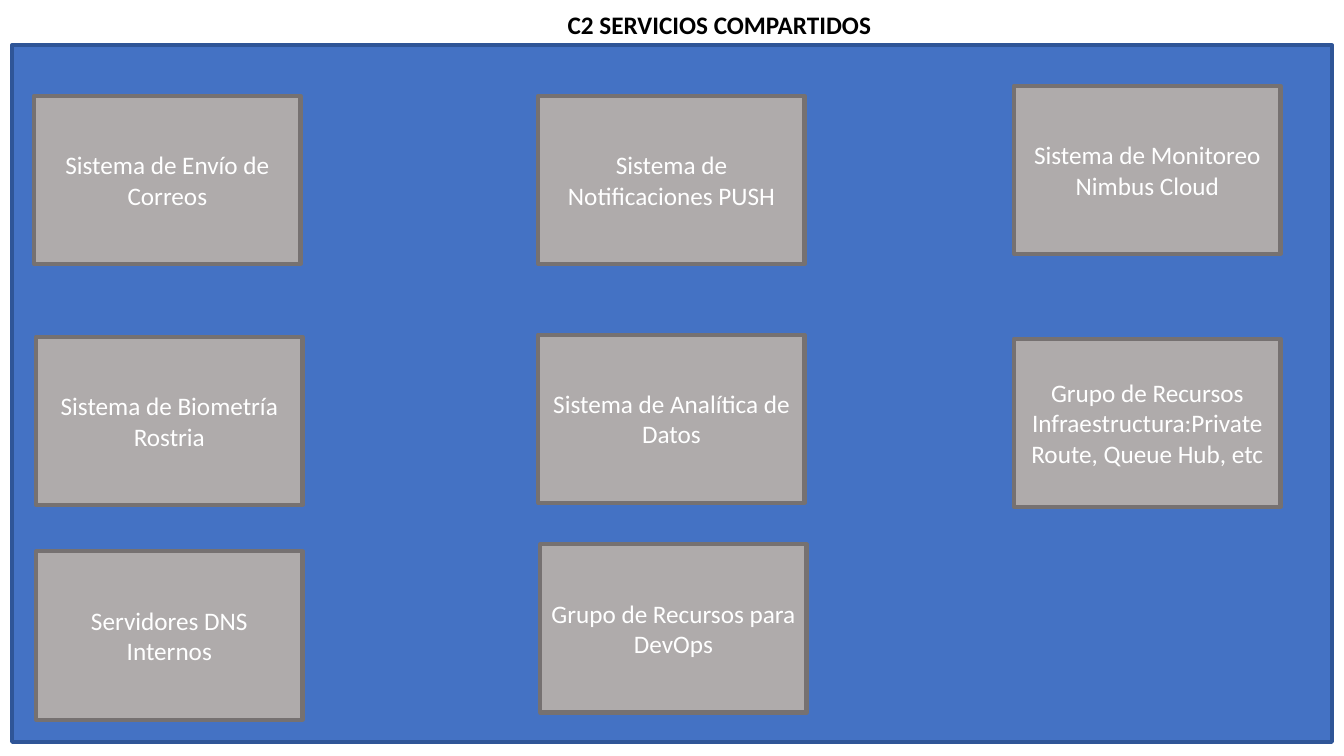
from pptx import Presentation
from pptx.dml.color import RGBColor
from pptx.enum import shapes, text
from pptx.util import Inches, Pt

COLORS = {
    "panel": "4472C4", "panel_edge": "2F5597",
    "card": "AFABAB", "card_edge": "767171",
    "title": "000000", "label": "FFFFFF",
}
CARD_WIDTH, CARD_HEIGHT = 2.64, 1.67

deck = Presentation()
deck.slide_width, deck.slide_height = Inches(13.33), Inches(7.5)
page = deck.slides.add_slide(deck.slide_layouts[5])


def add_box(left, top, width, height, kind):
    box = page.shapes.add_shape(shapes.MSO_SHAPE.RECTANGLE, Inches(left),
                                Inches(top), Inches(width), Inches(height))
    box.shadow.inherit = False
    box.fill.solid()
    box.fill.fore_color.rgb = RGBColor.from_string(COLORS[kind])
    box.line.color.rgb = RGBColor.from_string(COLORS[kind + "_edge"])
    box.line.width = Pt(3)
    return box


def write(box, words, color, align, anchor, bold=False):
    box.text_frame.vertical_anchor = anchor
    para = box.text_frame.paragraphs[0]
    para.alignment = align
    span = para.add_run()
    span.text = words
    span.font.name, span.font.size, span.font.bold = "Calibri", Pt(18), bold
    span.font.color.rgb = RGBColor.from_string(COLORS[color])


# Title
title = page.shapes.title
title.left, title.top = Inches(5.53), Inches(0.04)
title.width, title.height = Inches(3.24), Inches(0.4)
title.text_frame.word_wrap = False
title.text_frame.auto_size = text.MSO_AUTO_SIZE.SHAPE_TO_FIT_TEXT
write(title, "C2 SERVICIOS COMPARTIDOS", "title", text.PP_ALIGN.LEFT,
      text.MSO_ANCHOR.TOP, bold=True)

# Background panel
add_box(0.12, 0.45, 13.09, 6.91, "panel")

# Service cards by column: each has its left edge, top edge and label
columns = [
    [(0.34, 0.95, "Sistema de Envío de Correos"),
     (0.36, 3.34, "Sistema de Biometría Rostria"),
     (0.36, 5.47, "Servidores DNS Internos")],
    [(5.34, 0.95, "Sistema de Notificaciones PUSH"),
     (5.34, 3.32, "Sistema de Analítica de Datos"),
     (5.36, 5.4, "Grupo de Recursos para DevOps")],
    [(10.06, 0.85, "Sistema de Monitoreo Nimbus Cloud"),
     (10.06, 3.36, "Grupo de Recursos Infraestructura:Private Route, Queue Hub, etc")],
]
for column in columns:
    for left, top, label in column:
        card = add_box(left, top, CARD_WIDTH, CARD_HEIGHT, "card")
        card.text_frame.word_wrap = True
        write(card, label, "label", text.PP_ALIGN.CENTER, text.MSO_ANCHOR.MIDDLE)

deck.save("out.pptx")
